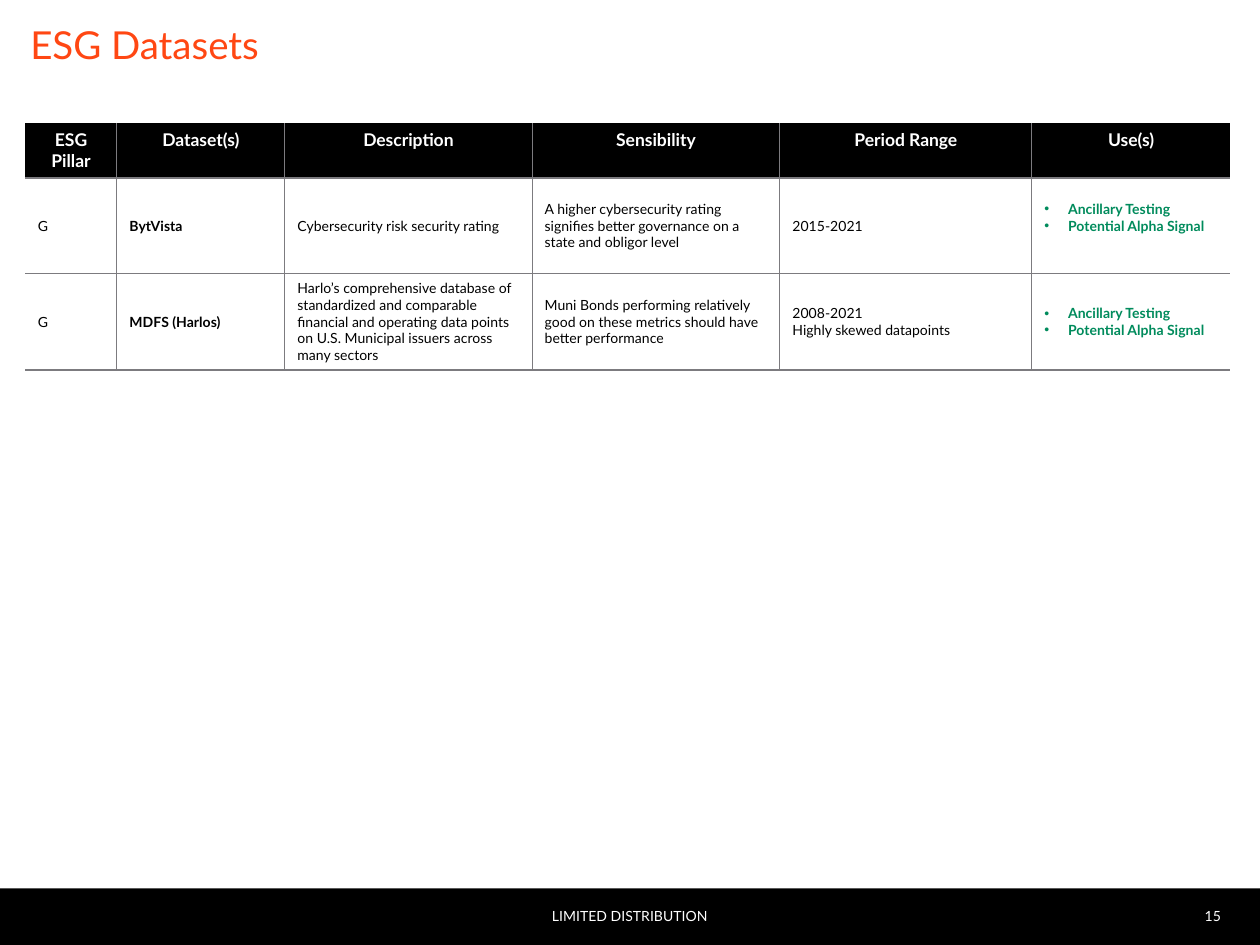
from lxml import etree
from pptx import Presentation
from pptx.dml.color import RGBColor
from pptx.enum import shapes, text
from pptx.oxml import ns
from pptx.util import Pt

ORANGE = RGBColor(0xFF, 0x47, 0x13)
BLACK = RGBColor(0, 0, 0)
WHITE = RGBColor(0xFF, 0xFF, 0xFF)
GREEN = RGBColor(0x00, 0x8B, 0x5C)
GREY = RGBColor(0x7C, 0x7B, 0x7F)
LEFT, MID, RIGHT = (text.PP_ALIGN.LEFT, text.PP_ALIGN.CENTER,
                    text.PP_ALIGN.RIGHT)
TOP, CENTRE = text.MSO_ANCHOR.TOP, text.MSO_ANCHOR.MIDDLE


def write(frame, words, size, color, bold=False, align=LEFT, bullet=False):
    frame.text = words
    for par in frame.paragraphs:
        par.alignment = align
        if bullet:
            props = par._p.get_or_add_pPr()
            props.set("marL", str(Pt(13.5)))
            props.set("indent", str(Pt(-13.5)))
            etree.SubElement(props, ns.qn("a:buFont"), typeface="Arial")
            etree.SubElement(props, ns.qn("a:buChar"), char="•")
        font = {"name": "Lato", "size": Pt(size), "bold": bold}
        for run in par.runs:
            for key, val in font.items():
                setattr(run.font, key, val)
            run.font.color.rgb = color


def edge(cell, side, shown):
    props = cell._tc.get_or_add_tcPr()
    line = etree.SubElement(props, ns.qn("a:ln" + side), w=str(Pt(0.75)))
    if shown:
        fill = etree.SubElement(line, ns.qn("a:solidFill"))
        etree.SubElement(fill, ns.qn("a:srgbClr"), val=str(GREY))
    else:
        etree.SubElement(line, ns.qn("a:noFill"))


deck = Presentation()
deck.slide_width, deck.slide_height = Pt(720), Pt(540)
slide = deck.slides.add_slide(deck.slide_layouts[5])

# Footer band
band = slide.shapes.add_shape(shapes.MSO_SHAPE.RECTANGLE,
                              0, Pt(507.6), Pt(720), Pt(32.4))
band.shadow.inherit = False
band.fill.solid()
band.fill.fore_color.rgb = BLACK
band.line.fill.background()

# Title
title = slide.shapes.title
place = {"left": 17.3, "top": 12.2, "width": 671.8, "height": 46.8}
for key, val in place.items():
    setattr(title, key, Pt(val))
write(title.text_frame, "ESG Datasets", 22, ORANGE)
title.text_frame.vertical_anchor = TOP

# Footer texts
notes = [("15", 665.3, 32.4, RIGHT), ("LIMITED DISTRIBUTION", 126, 468, MID)]
for words, left, width, align in notes:
    box = slide.shapes.add_textbox(Pt(left), Pt(507.4), Pt(width), Pt(32.4))
    write(box.text_frame, words, 8, WHITE, align=align)
    box.text_frame.word_wrap = True
    box.text_frame.vertical_anchor = CENTRE
    box.text_frame.margin_left = box.text_frame.margin_right = 0
for side in ("left", "right", "top", "bottom"):
    setattr(title.text_frame, "margin_" + side, 0)

# Dataset table
USES = "Ancillary Testing\nPotential Alpha Signal"
ROWS = [
    ["ESG Pillar", "Dataset(s)", "Description", "Sensibility",
     "Period Range", "Use(s)"],
    ["G", "BytVista", "Cybersecurity risk security rating",
     "A higher cybersecurity rating signifies better governance on a state "
     "and obligor level", "2015-2021", USES],
    ["G", "MDFS (Harlos)",
     "Harlo’s comprehensive database of standardized and comparable "
     "financial and operating data points on U.S. Municipal issuers across "
     "many sectors",
     "Muni Bonds performing relatively good on these metrics should have "
     "better performance", "2008-2021\nHighly skewed datapoints", USES],
]
WIDTHS = [52.4, 96, 141.3, 141.6, 144, 113.5]
HEIGHTS = [31, 54.5, 55.3]
LAST = len(WIDTHS) - 1
grid = slide.shapes.add_table(len(ROWS), len(WIDTHS), Pt(14.4), Pt(70.4),
                              Pt(sum(WIDTHS)), Pt(sum(HEIGHTS))).table
grid.horz_banding = False
for col, width in zip(grid.columns, WIDTHS):
    col.width = Pt(width)
for row, height in zip(grid.rows, HEIGHTS):
    row.height = Pt(height)

for r, row in enumerate(ROWS):
    for c, words in enumerate(row):
        cell = grid.cell(r, c)
        head, use = r == 0, c == LAST
        if head:
            write(cell.text_frame, words, 10, WHITE, True, MID)
        else:
            write(cell.text_frame, words, 8, GREEN if use else BLACK,
                  c in (1, LAST), bullet=use)
        cell.vertical_anchor = TOP if head else CENTRE
        for side, shown in (("L", c > 0), ("R", not use),
                            ("T", not head), ("B", True)):
            edge(cell, side, shown)
        if head:
            cell.fill.solid()
            cell.fill.fore_color.rgb = BLACK
        else:
            cell.fill.background()

# The first list of uses sits a little above the middle
grid.cell(1, LAST).margin_bottom = Pt(13.2)

deck.save("out.pptx")
